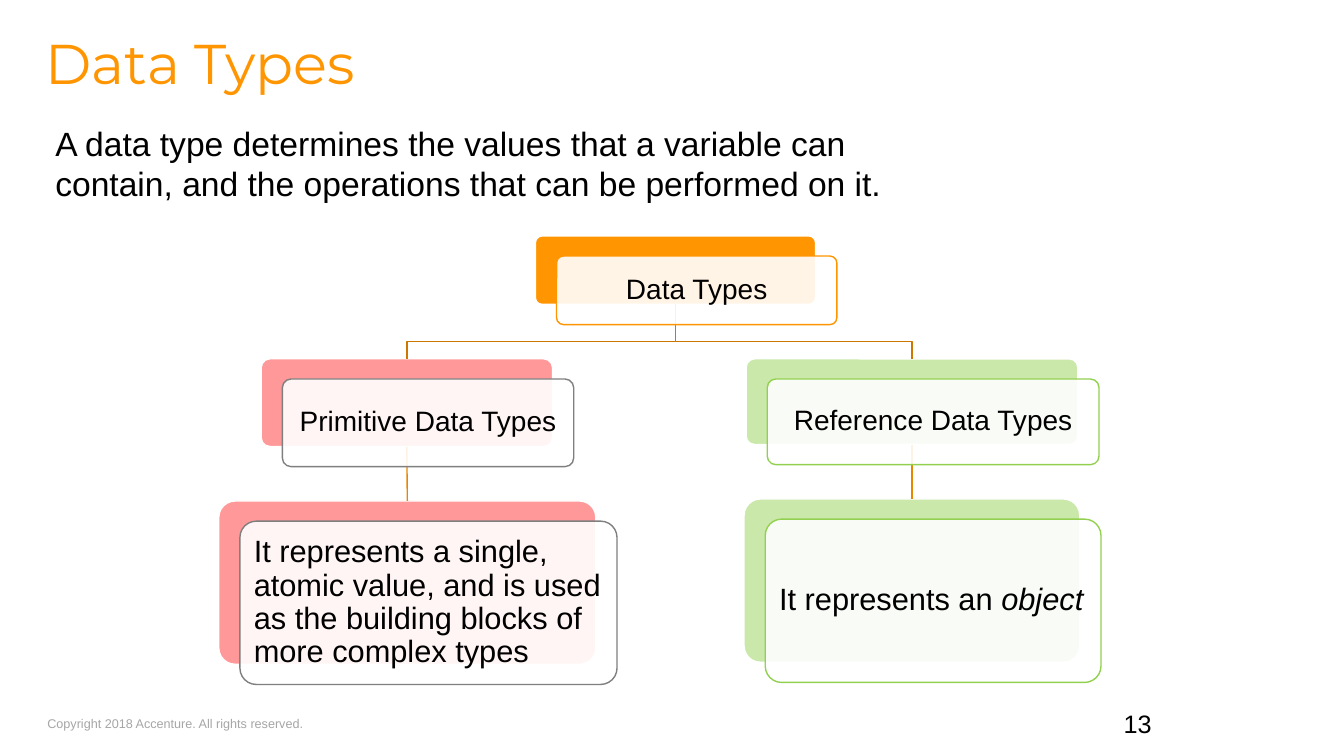
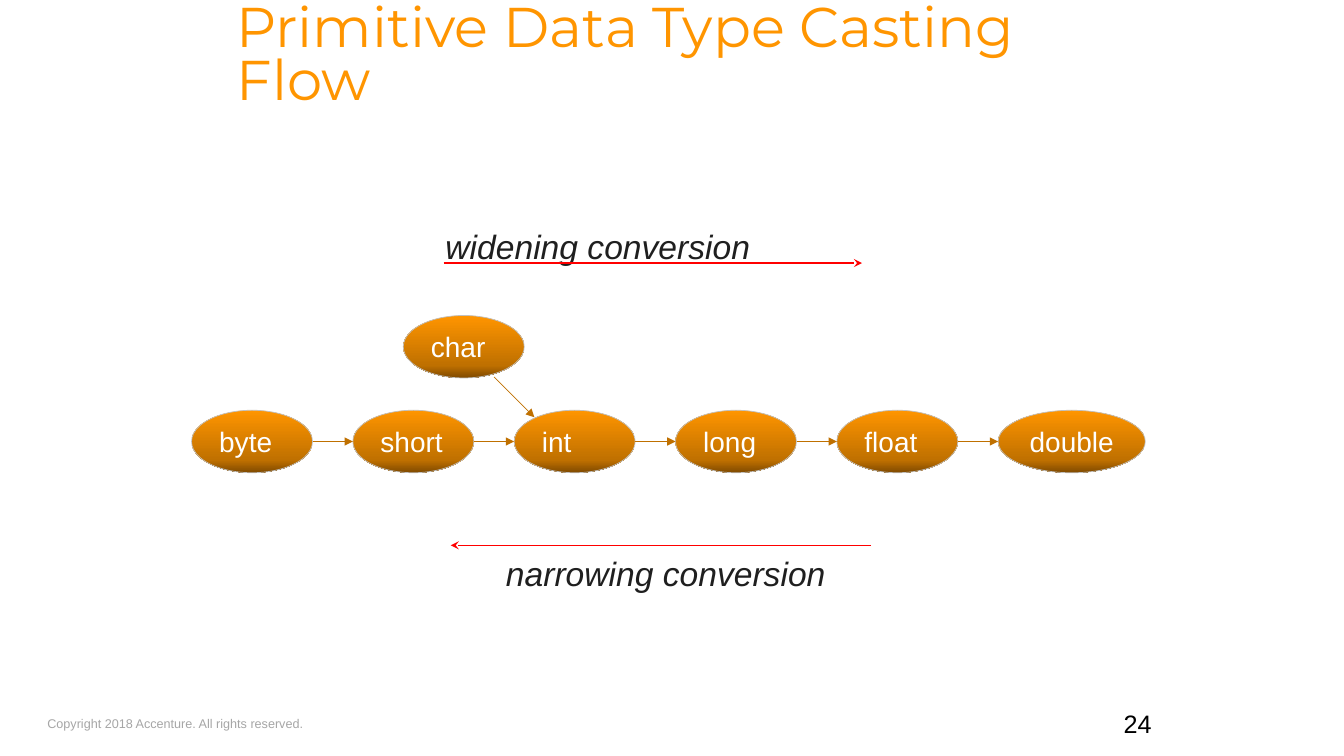
from copy import deepcopy

from lxml import etree
from pptx import Presentation
from pptx.dml.color import RGBColor
from pptx.enum.shapes import MSO_CONNECTOR, MSO_SHAPE
from pptx.enum.text import MSO_ANCHOR, PP_ALIGN
from pptx.oxml.ns import qn
from pptx.util import Emu, Pt

STRAIGHT = MSO_CONNECTOR.STRAIGHT
ROUNDED, OVAL = MSO_SHAPE.ROUNDED_RECTANGLE, MSO_SHAPE.OVAL
TOP, MIDDLE, BOTTOM = MSO_ANCHOR.TOP, MSO_ANCHOR.MIDDLE, MSO_ANCHOR.BOTTOM
LEFT, CENTER, RIGHT = PP_ALIGN.LEFT, PP_ALIGN.CENTER, PP_ALIGN.RIGHT
EMU_PER_PX = 9144
TOP_SIDE, BOTTOM_SIDE = 0, 2

COLORS = {
    "orange": "FF9500", "amber": "BF7000", "brown": "804A00",
    "branch": "CC7700", "drop": "E78700", "pink": "FF9999",
    "gray": "7F7F7F", "pale_green": "CAE8AA", "green": "92D050",
    "silver": "C0C0C0", "footer": "A6A6A6", "ink": "1F1F1F",
    "black": "000000", "white": "FFFFFF", "red": "FF0000",
}


def px(*lengths):
    return [Emu(round(length * EMU_PER_PX)) for length in lengths]


def rgb(name):
    return RGBColor.from_string(COLORS[name])


class Deck:
    """Holds the shared style and the current slide."""

    def __init__(self):
        self.deck = Presentation()
        self.deck.slide_width, self.deck.slide_height = px(1333, 750)
        self.shapes = None

    def page(self, title, title_at, number):
        self.shapes = self.deck.slides.add_slide(self.deck.slide_layouts[6]).shapes
        self.text("Copyright 2018 Accenture. All rights reserved.", (47, 705, 257, 25),
                  9, "footer", insets=(0, 5), wrap=False)
        self.text(str(number), (967, 708, 185, 30), 18, align=RIGHT, anchor=BOTTOM)
        box = self.text(title, title_at, 40, "orange", font="Montserrat", insets=(0, 0))
        box.text_frame.paragraphs[0].line_spacing = 0.8

    def text(self, words, at, size, color="black", **style):
        box = self.shapes.add_textbox(*px(*at))
        self.set_words(box, words, size, color, **style)
        return box

    def set_words(self, box, words, size, color="black", font="Arial", align=LEFT,
                  anchor=TOP, insets=(10, 5), wrap=True, italic=False):
        frame = box.text_frame
        frame.text = words
        frame.word_wrap = wrap
        frame.vertical_anchor = anchor
        side, edge = px(*insets)
        frame.margin_left = frame.margin_right = side
        frame.margin_top = frame.margin_bottom = edge
        para = frame.paragraphs[0]
        para.alignment = align
        for span in para.runs:
            self.style_span(span, size, color, font, italic)

    def style_span(self, span, size, color="black", font="Arial", italic=False):
        span.font.name = font
        span.font.size = Pt(size)
        span.font.italic = italic
        span.font.color.rgb = rgb(color)

    def outline(self, shape, color, width=1):
        shape.line.color.rgb = rgb(color)
        shape.line.width = Pt(width)

    def card(self, at, fill, line):
        shape = self.shapes.add_shape(ROUNDED, *px(*at))
        shape.shadow.inherit = False
        shape.adjustments[0] = 0.1
        shape.fill.solid()
        shape.fill.fore_color.rgb = rgb(fill)
        self.outline(shape, line)
        return shape

    def panel(self, at, line, words, size, align, inset):
        left, top, width, height = at
        shape = self.card((left + 21, top + 20, width, height), "white", line)
        fill_color = shape.element.spPr.find(qn("a:solidFill"))[0]
        etree.SubElement(fill_color, qn("a:alpha"), val="90000")
        self.set_words(shape, words, size, align=align, anchor=MIDDLE,
                       insets=(inset, inset))
        shape.text_frame.paragraphs[0].line_spacing = 0.9
        return shape

    def oval(self, at, words):
        shape = self.shapes.add_shape(OVAL, *px(*at))
        shape.shadow.inherit = False
        shape.fill.gradient()
        shape.fill.gradient_angle = 270
        stops = shape.element.spPr.find(".//" + qn("a:gsLst"))
        stops.insert(1, deepcopy(stops[0]))
        shades = ((0, "orange"), (0.8, "amber"), (1, "brown"))
        for stop, (position, color) in zip(shape.fill.gradient_stops, shades):
            stop.position = position
            stop.color.rgb = rgb(color)
        self.outline(shape, "silver", 0.5)
        self.set_words(shape, words, 20, "white", anchor=MIDDLE)
        shape.text_frame.margin_right = 0

    def line(self, start, end, color, width=1, arrow=None):
        connector = self.shapes.add_connector(STRAIGHT, *px(*start, *end))
        self.outline(connector, color, width)
        properties = connector.element.spPr
        if arrow:
            etree.SubElement(properties.find(qn("a:ln")), qn("a:tailEnd"), type=arrow)
        etree.SubElement(properties, qn("a:effectLst"))
        return connector

    def polyline(self, points, color):
        start, *rest = [px(*point) for point in points]
        builder = self.shapes.build_freeform(*start)
        builder.add_line_segments(rest, close=False)
        shape = builder.convert_to_shape()
        shape.shadow.inherit = False
        shape.fill.background()
        self.outline(shape, color)


def data_types(deck):
    deck.page("Data Types", (45, 41, 832, 109), 13)
    deck.text("A data type determines the values that a variable can contain, "
              "and the operations that can be performed on it.", (45, 117, 888, 450), 24)

    cards = {
        "root": ((531, 234, 278, 68), "orange", "orange", "Data Types"),
        "primitive": ((259, 356, 289, 87), "pink", "gray", "Primitive Data Types"),
        "primitive detail": ((217, 497, 374, 162), "pink", "gray",
                             "It represents a single, atomic value, and is used "
                             "as the building blocks of more complex types"),
        "reference": ((740, 356, 329, 85), "pale_green", "green", "Reference Data Types"),
        "reference detail": ((738, 495, 333, 162), "pale_green", "green",
                             "It represents an "),
    }
    backs = {name: deck.card(at, fill, "white")
             for name, (at, fill, _, _) in cards.items()}

    root_left, root_top, root_width, root_height = cards["root"][0]
    root_middle = root_left + root_width / 2
    for name in ("reference", "primitive"):
        left, top, width, _ = cards[name][0]
        middle = left + width / 2
        deck.polyline([(root_middle, root_top + root_height), (root_middle, 339),
                       (middle, 339), (middle, top)], "branch")
        drop = deck.line((middle, top), (middle, top), "drop")
        drop.begin_connect(backs[name], BOTTOM_SIDE)
        drop.end_connect(backs[name + " detail"], TOP_SIDE)

    for name, (at, _, line, words) in cards.items():
        style = (22, LEFT, 9) if "detail" in name else (20, CENTER, 8)
        panel = deck.panel(at, line, words, *style)
    span = panel.text_frame.paragraphs[0].add_run()
    span.text = "object"
    deck.style_span(span, 22, italic=True)


def casting_flow(deck):
    deck.page("Primitive Data Type Casting Flow", (235, 4, 891, 120), 24)

    first, top, width, height, step = 190, 407, 120, 62, 160
    middle = top + height // 2
    types = ("byte", "short", "int", "long", "float", "double")
    for index, name in enumerate(types):
        left = first + index * step
        deck.oval((left, top, 146 if name == "double" else width, height), name)
        if index:
            deck.line((left - step + width, middle), (left, middle),
                      "amber", 0.5, "triangle")
    deck.oval((400, 313, width, height), "char")
    deck.line((490, 374), (530, 414), "amber", 0.5, "triangle")

    deck.text("widening conversion", (432, 219, 407, 38), 24, "ink", italic=True)
    deck.line((440, 261), (855, 261), "red", arrow="stealth")
    deck.line((864, 541), (447, 541), "red", arrow="stealth")
    deck.text("narrowing conversion", (492, 544, 403, 34), 24, "ink", italic=True)


def main():
    deck = Deck()
    data_types(deck)
    casting_flow(deck)
    deck.deck.save("out.pptx")


if __name__ == "__main__":
    main()
